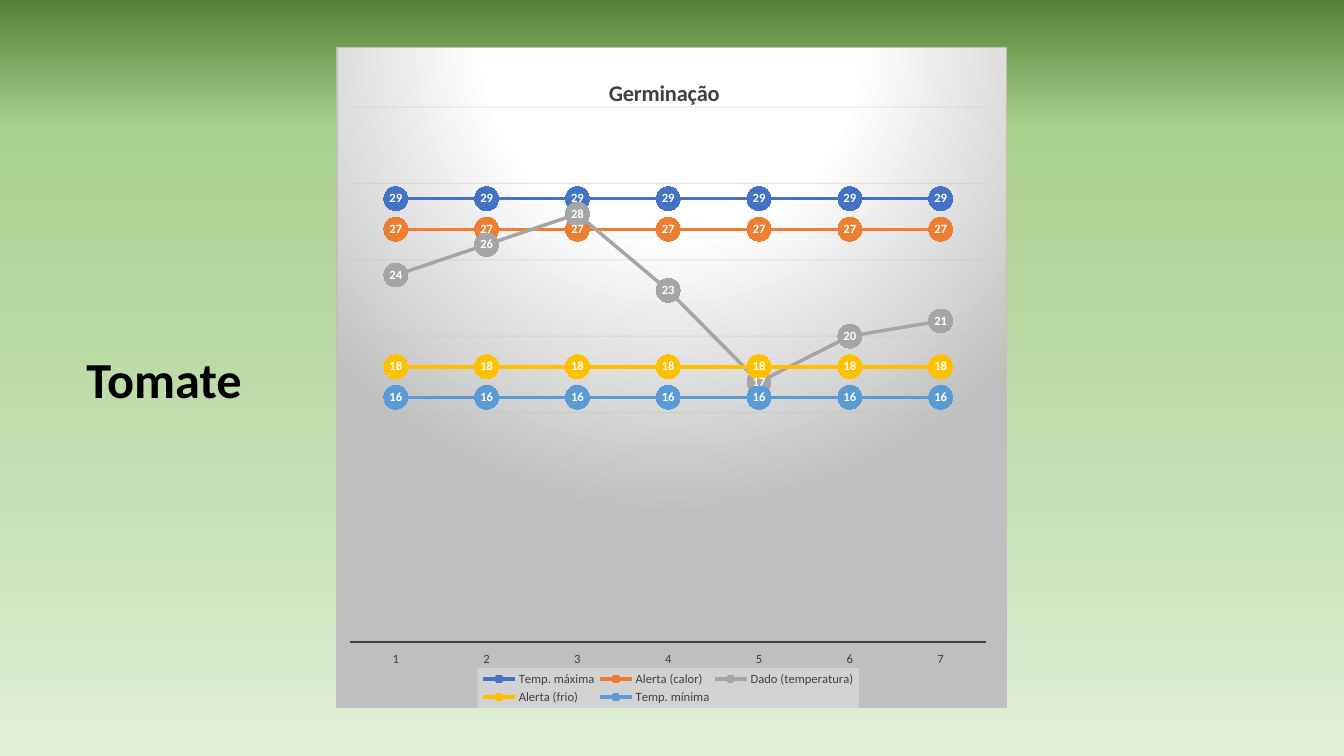
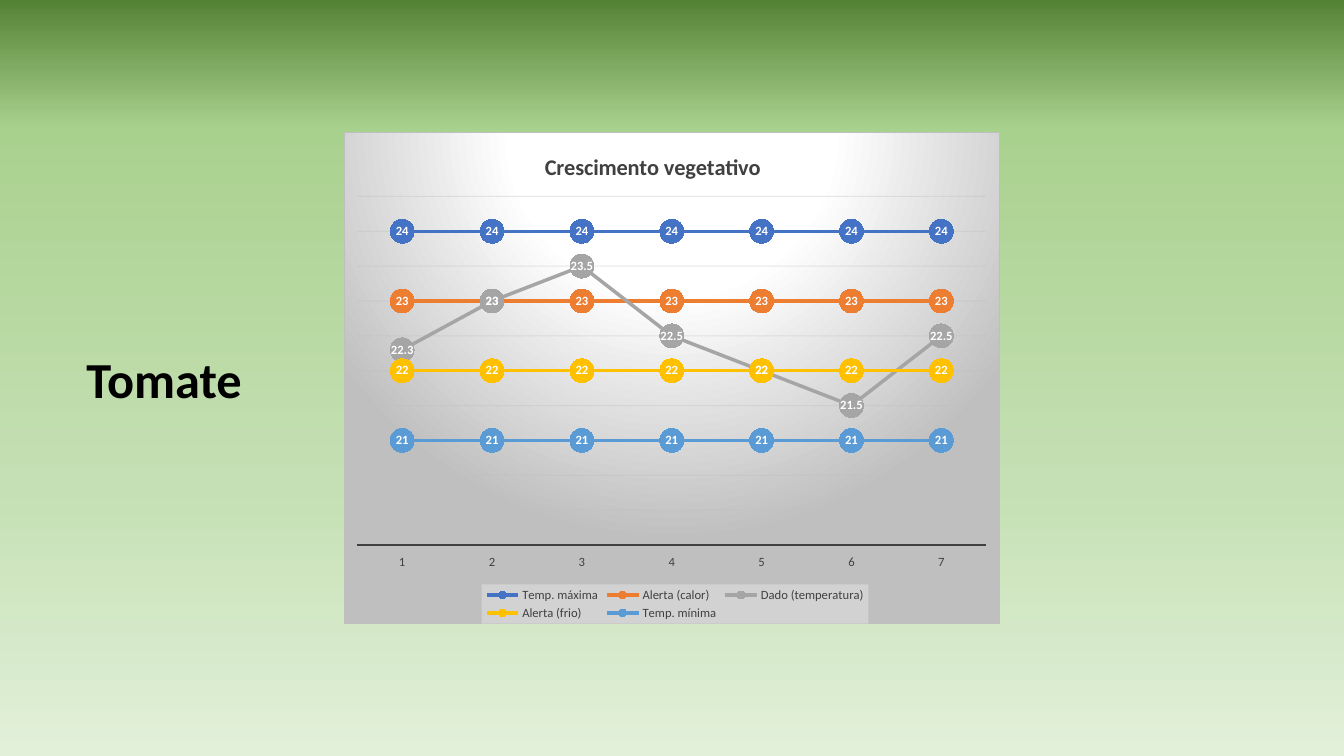
from lxml import etree
from pptx import Presentation
from pptx.chart.data import CategoryChartData as ChartData
from pptx.dml.color import RGBColor as RGB
from pptx.enum.chart import XL_CHART_TYPE as Kind
from pptx.enum.chart import XL_LABEL_POSITION as Spot
from pptx.enum.chart import XL_LEGEND_POSITION as Side
from pptx.enum.chart import XL_MARKER_STYLE as Mark
from pptx.enum.chart import XL_TICK_LABEL_POSITION as Tag
from pptx.enum.chart import XL_TICK_MARK as Tick
from pptx.enum.text import MSO_ANCHOR, PP_ALIGN
from pptx.oxml import parse_xml
from pptx.oxml.ns import nsdecls, qn
from pptx.util import Cm, Pt

BLACK = RGB(0x00, 0x00, 0x00)
WHITE = RGB(0xFF, 0xFF, 0xFF)
DARK = RGB(0x40, 0x40, 0x40)
SILVER = RGB(0xBF, 0xBF, 0xBF)
PALE = RGB(0xF2, 0xF2, 0xF2)
BLUE = RGB(0x44, 0x72, 0xC4)
ORANGE = RGB(0xED, 0x7D, 0x31)
GRAY = RGB(0xA5, 0xA5, 0xA5)
GOLD = RGB(0xFF, 0xC0, 0x00)
SKY = RGB(0x5B, 0x9B, 0xD5)
MEADOW = [(0, RGB(0xE2, 0xF0, 0xD9)), (36, RGB(0xC5, 0xE0, 0xB4)),
          (83, RGB(0xA9, 0xD1, 0x8E)), (100, RGB(0x54, 0x82, 0x35))]
GLOW = [(0, WHITE), (39, WHITE), (100, SILVER)]
UPWARD = '<a:lin ang="16200000" scaled="0"/>'
ROUND = ('<a:path path="circle"><a:fillToRect l="50000" t="-80000" '
         'r="50000" b="180000"/></a:path>')

FONT = "Calibri"
HEAD = dict(name=FONT, size=Pt(36), bold=True)
NAME = dict(name=FONT, size=Pt(16), bold=True)
SMALL = dict(name=FONT, size=Pt(9), bold=False)
VALUE = dict(name=FONT, size=Pt(9), bold=True)

DAYS = 7
LINES = [("Temp. máxima", BLUE), ("Alerta (calor)", ORANGE),
         ("Dado (temperatura)", GRAY), ("Alerta (frio)", GOLD),
         ("Temp. mínima", SKY)]

# Limits follow the order of LINES; None stands for the measured data.
# Plot, name and key boxes are fractions of the chart.
PHASES = [
    dict(name="Germinação", box=(8.48, 1.19, 16.89, 16.66),
         limits=(29, 27, None, 18, 16), data=(24, 26, 28, 23, 17, 20, 21),
         scale=(0, 35, 5), plot=(0.02, 0.09, 0.95, 0.81),
         head=(0.4, 0.04), key=(0.21, 0.94, 0.57, 0.06)),
    dict(name="Crescimento vegetativo", box=(8.66, 3.33, 16.54, 12.4),
         limits=(24, 23, None, 22, 21),
         data=(22.3, 23, 23.5, 22.5, 22, 21.5, 22.5),
         scale=(19.5, 24.5, 0.5), plot=(0.02, 0.13, 0.96, 0.71),
         head=(0.3, 0.03), key=(0.21, 0.92, 0.59, 0.08)),
]


def style(font, look, color):
    for key, val in look.items():
        setattr(font, key, val)
    font.color.rgb = color


def stroke(line, color, width):
    line.color.rgb = color
    line.width = Pt(width)


def blend(stops, path):
    """Return a gradient fill with stops in percent."""
    marks = "".join(f'<a:gs pos="{pos * 1000}"><a:srgbClr val="{color}"/></a:gs>'
                    for pos, color in stops)
    return (f'<a:gradFill {nsdecls("a")} rotWithShape="1">'
            f'<a:gsLst>{marks}</a:gsLst>{path}</a:gradFill>')


def panel(fill, line=""):
    """Return the shape properties of a chart part."""
    return parse_xml(f'<c:spPr {nsdecls("c", "a")}>{fill}{line}</c:spPr>')


def seek(chart, tag):
    """Return the first chart part with this tag."""
    return chart.element.find(".//" + qn(tag))


def place(part, index, box, inner=False):
    """Fix a chart part at fractions of the chart."""
    for old in part.findall(qn("c:layout")):
        part.remove(old)
    tags = ["xMode", "yMode"] + ["x", "y", "w", "h"][:len(box)]
    vals = ["edge", "edge", *box]
    if inner:
        tags.insert(0, "layoutTarget")
        vals.insert(0, "inner")
    layout = parse_xml(f'<c:layout {nsdecls("c")}><c:manualLayout/></c:layout>')
    for tag, val in zip(tags, vals):
        etree.SubElement(layout[0], qn(f"c:{tag}")).set("val", str(val))
    part.insert(index, layout)


def paint(master):
    """Give all slides the green background."""
    master.background.fill.solid()
    back = master.element.find(".//" + qn("p:bgPr"))
    back.replace(back[0], parse_xml(blend(MEADOW, UPWARD)))


def add_title(slide, text):
    title = slide.shapes.title
    title.left, title.top, title.width, title.height = map(
        Cm, (1.9, 8.64, 4.47, 1.8))
    frame = title.text_frame
    frame.text = text
    frame.word_wrap = False
    frame.vertical_anchor = MSO_ANCHOR.MIDDLE
    para = frame.paragraphs[0]
    para.alignment = PP_ALIGN.CENTER
    style(para.runs[0].font, HEAD, BLACK)


def format_line(line, color):
    line.smooth = False
    stroke(line.format.line, color, 2.5)
    mark = line.marker
    mark.style, mark.size = Mark.CIRCLE, 17
    mark.format.fill.solid()
    mark.format.fill.fore_color.rgb = color
    mark.format.line.fill.background()
    labels = line.data_labels
    labels.show_value = True
    labels.position = Spot.CENTER
    style(labels.font, VALUE, WHITE)


def format_axes(chart, scale):
    days, temps = chart.category_axis, chart.value_axis
    days.major_tick_mark = days.minor_tick_mark = Tick.NONE
    days.tick_label_position = Tag.LOW
    style(days.tick_labels.font, SMALL, DARK)
    stroke(days.format.line, DARK, 1.5)
    temps.minimum_scale, temps.maximum_scale, temps.major_unit = scale
    temps.visible = False
    stroke(temps.major_gridlines.format.line, SILVER, 0.75)
    color = seek(chart, "c:majorGridlines").find(".//" + qn("a:srgbClr"))
    etree.SubElement(color, qn("a:alpha")).set("val", "36000")


def add_legend(chart, box):
    chart.has_legend = True
    key = chart.legend
    key.position = Side.BOTTOM
    key.include_in_layout = False
    style(key.font, SMALL, DARK)
    part = seek(chart, "c:legend")
    place(part, 1, box)
    part.find(qn("c:overlay")).addnext(panel(
        f'<a:solidFill><a:srgbClr val="{PALE}"><a:alpha val="39000"/>'
        '</a:srgbClr></a:solidFill>'))


def add_name(chart, text, spot):
    chart.has_title = True
    frame = chart.chart_title.text_frame
    frame.text = text
    style(frame.paragraphs[0].runs[0].font, NAME, DARK)
    place(seek(chart, "c:title"), 1, spot)


def add_graph(slide, phase):
    data = ChartData()
    data.categories = [str(day + 1) for day in range(DAYS)]
    for (name, _), limit in zip(LINES, phase["limits"]):
        data.add_series(name, phase["data"] if limit is None else [limit] * DAYS)
    chart = slide.shapes.add_chart(
        Kind.LINE_MARKERS, *map(Cm, phase["box"]), data).chart
    style(chart.font, dict(name=FONT, size=Pt(10)), BLACK)
    plot = chart.plots[0]
    plot.vary_by_categories = False
    for line, (_, color) in zip(plot.series, LINES):
        format_line(line, color)
    format_axes(chart, phase["scale"])
    add_name(chart, phase["name"], phase["head"])
    add_legend(chart, phase["key"])
    place(seek(chart, "c:plotArea"), 0, phase["plot"], inner=True)
    edge = (f'<a:ln w="{Pt(0.75)}"><a:solidFill><a:srgbClr val="{SILVER}"/>'
            '</a:solidFill></a:ln>')
    seek(chart, "c:chart").addnext(panel(blend(GLOW, ROUND), edge))


def main():
    deck = Presentation()
    deck.slide_width, deck.slide_height = Cm(33.87), Cm(19.05)
    paint(deck.slide_master)
    for phase in PHASES:
        slide = deck.slides.add_slide(deck.slide_layouts[5])
        add_title(slide, "Tomate")
        add_graph(slide, phase)
    deck.save("out.pptx")


if __name__ == "__main__":
    main()
